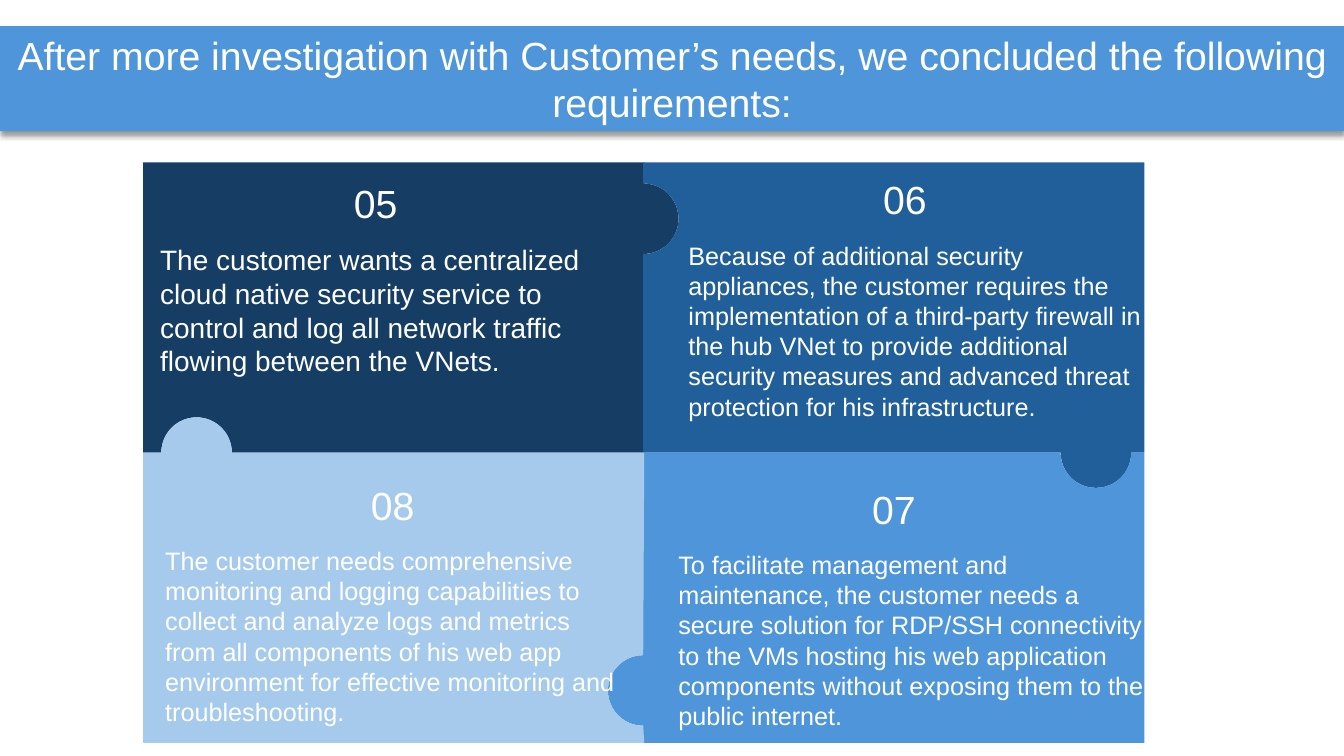
from dataclasses import dataclass

from lxml import etree
from pptx import Presentation
from pptx.dml.color import RGBColor
from pptx.enum.shapes import MSO_SHAPE
from pptx.enum.text import MSO_ANCHOR, MSO_AUTO_SIZE, PP_ALIGN
from pptx.oxml.ns import qn
from pptx.util import Inches, Pt

WHITE = RGBColor(0xFF, 0xFF, 0xFF)
NAVY = RGBColor(0x16, 0x3E, 0x64)
BLUE = RGBColor(0x21, 0x5F, 0x9A)
SKY = RGBColor(0x4E, 0x95, 0xD9)
PALE = RGBColor(0xA6, 0xCA, 0xEC)

OVAL = MSO_SHAPE.OVAL
CENTER, LEFT = PP_ALIGN.CENTER, PP_ALIGN.LEFT
TOP_ANCHOR, MIDDLE = MSO_ANCHOR.TOP, MSO_ANCHOR.MIDDLE
GROW = MSO_AUTO_SIZE.SHAPE_TO_FIT_TEXT

# Puzzle geometry, in inches
PIECE_W, PIECE_H = 4.97, 2.88
X0, Y0 = 1.42, 1.61
X1, Y1 = 6.38, Y0 + PIECE_H
RADIUS = 0.35

# Joints between neighbouring pieces (centre of each knob)
JOINT_TOP = (X1, 2.17)
JOINT_RIGHT = (10.87, Y1)
JOINT_BOTTOM = (X1, 6.85)
JOINT_LEFT = (1.95, Y1)

# Edges of a piece, clockwise, and the direction in which each one runs
EDGE_TOP, EDGE_RIGHT, EDGE_BOTTOM, EDGE_LEFT = range(4)
DIRECTIONS = [(1, 0), (0, 1), (-1, 0), (0, -1)]

# Half circle as two Bezier curves: steps along the edge and into the piece
BEND = 0.55
HALF_CIRCLE = [(-1, 0), (-1, BEND), (-BEND, 1), (0, 1), (BEND, 1), (1, BEND), (1, 0)]

Point = tuple[float, float]
Box = tuple[float, float, float, float]


@dataclass
class Piece:
    number: str
    text: str
    size: int
    color: RGBColor
    corner: Point
    knob: Point
    notch: Point
    notch_edge: int
    number_at: Point
    text_box: Box


PIECES = [
    Piece("05", "The customer wants a centralized cloud native security service to "
          "control and log all network traffic flowing between the VNets.",
          20, NAVY, (X0, Y0), JOINT_TOP, JOINT_LEFT, EDGE_BOTTOM,
          (3.18, 1.73), (1.49, 2.36, 4.83, 1.45)),
    Piece("06", "Because of additional security appliances, the customer requires the "
          "implementation of a third-party firewall in the hub VNet to provide additional "
          "security measures and advanced threat protection for his infrastructure.",
          18, BLUE, (X1, Y0), JOINT_RIGHT, JOINT_TOP, EDGE_LEFT,
          (8.43, 1.69), (6.73, 2.33, 4.83, 2.22)),
    Piece("07", "To facilitate management and maintenance, the customer needs a secure "
          "solution for RDP/SSH connectivity to the VMs hosting his web application "
          "components without exposing them to the public internet.",
          18, SKY, (X1, Y1), JOINT_BOTTOM, JOINT_RIGHT, EDGE_TOP,
          (8.32, 4.77), (6.63, 5.4, 4.83, 1.92)),
    Piece("08", "The customer needs comprehensive monitoring and logging capabilities to "
          "collect and analyze logs and metrics from all components of his web app "
          "environment for effective monitoring and troubleshooting.",
          18, PALE, (X0, Y1), JOINT_LEFT, JOINT_BOTTOM, EDGE_RIGHT,
          (3.35, 4.73), (1.54, 5.36, 4.74, 1.92)),
]


def write_text(sp, text: str, *, size: int, align=LEFT, anchor=TOP_ANCHOR) -> None:
    """Fill a shape with one white paragraph."""
    tf = sp.text_frame
    tf.word_wrap = True
    tf.auto_size = GROW
    tf.vertical_anchor = anchor
    p = tf.paragraphs[0]
    p.alignment = align
    r = p.add_run()
    r.text = text
    r.font.name = "Arial"
    r.font.size = Pt(size)
    r.font.color.rgb = WHITE


def add_text(shapes, box: Box, text: str, **fmt) -> None:
    write_text(shapes.add_textbox(*map(Inches, box)), text, **fmt)


def paint(sp, color: RGBColor) -> None:
    sp.shadow.inherit = False
    sp.fill.solid()
    sp.fill.fore_color.rgb = color
    sp.line.fill.background()


def outline(piece: Piece) -> list[Point]:
    """Corners of a piece, clockwise, with the notch points put into one edge."""
    x, y = piece.corner
    corners = [(x, y), (x + PIECE_W, y), (x + PIECE_W, y + PIECE_H), (x, y + PIECE_H)]
    cx, cy = piece.notch
    dx, dy = DIRECTIONS[piece.notch_edge]
    notch = [(cx + RADIUS * (u * dx - v * dy), cy + RADIUS * (u * dy + v * dx))
             for u, v in HALF_CIRCLE]
    split = piece.notch_edge + 1
    return corners[:split] + notch + corners[split:]


def add_body(shapes, piece: Piece) -> None:
    points = [(Inches(x), Inches(y)) for x, y in outline(piece)]
    builder = shapes.build_freeform(*points[0])
    builder.add_line_segments(points[1:], close=True)
    sp = builder.convert_to_shape()
    paint(sp, piece.color)
    # Join the notch points, three by three, into curves
    segments = list(sp.element.spPr.find(".//" + qn("a:path")))
    first = piece.notch_edge + 2
    for i in (first, first + 3):
        curve = etree.Element(qn("a:cubicBezTo"))
        segments[i].addprevious(curve)
        for line in segments[i:i + 3]:
            curve.append(line[0])
            line.getparent().remove(line)


def add_knob(shapes, piece: Piece) -> None:
    cx, cy = piece.knob
    box = (cx - RADIUS, cy - RADIUS, 2 * RADIUS, 2 * RADIUS)
    paint(shapes.add_shape(OVAL, *map(Inches, box)), piece.color)


def add_piece(slide, piece: Piece) -> None:
    shapes = slide.shapes.add_group_shape().shapes
    add_body(shapes, piece)
    add_knob(shapes, piece)
    add_text(shapes, (*piece.number_at, 1.09, 0.57), piece.number, size=28, align=CENTER)
    add_text(shapes, piece.text_box, piece.text, size=piece.size)


def add_title(slide, text: str) -> None:
    sp = slide.shapes.title
    sp.left, sp.top, sp.width, sp.height = map(Inches, (0, 0.26, 13.33, 1.04))
    paint(sp, SKY)
    write_text(sp, text, size=28, align=CENTER, anchor=MIDDLE)
    # Soft shadow below the banner
    effects = sp.element.spPr.find(qn("a:effectLst"))
    shadow = etree.SubElement(effects, qn("a:outerShdw"), blurRad=str(Pt(4)),
                              dist=str(Pt(3)), dir="5400000", algn="t", rotWithShape="0")
    color = etree.SubElement(shadow, qn("a:srgbClr"), val="000000")
    etree.SubElement(color, qn("a:alpha"), val="40000")


def main() -> None:
    prs = Presentation()
    prs.slide_width, prs.slide_height = Inches(13.33), Inches(7.5)
    slide = prs.slides.add_slide(prs.slide_layouts[5])
    add_title(slide, "After more investigation with Customer’s needs, "
                     "we concluded the following requirements:")
    for piece in PIECES:
        add_piece(slide, piece)
    prs.save("out.pptx")


if __name__ == "__main__":
    main()
